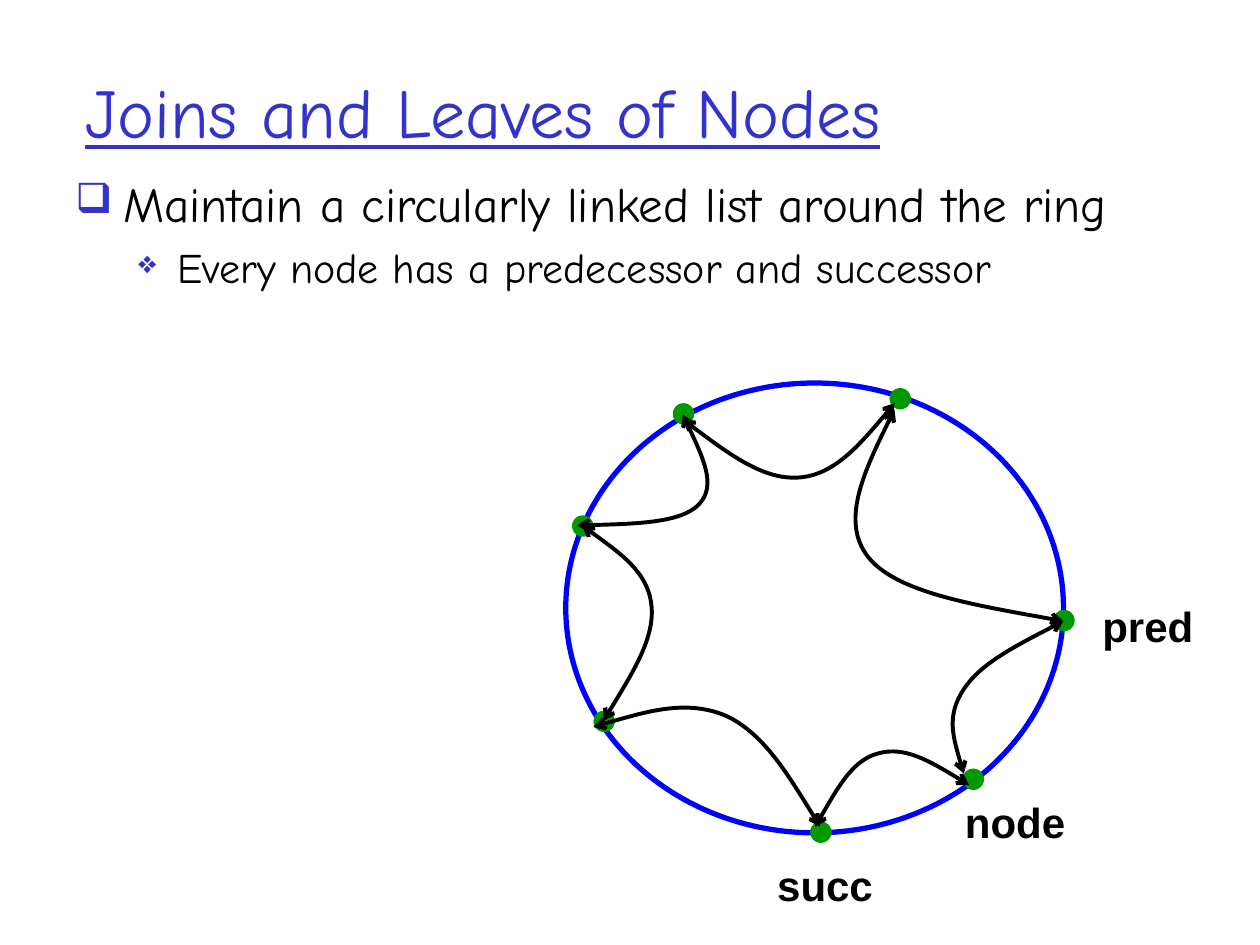
"""Build the slide on joins and leaves of nodes in a ring."""
from lxml.etree import SubElement
from pptx import Presentation
from pptx.dml.color import RGBColor
from pptx.enum.shapes import MSO_SHAPE
from pptx.enum.text import MSO_ANCHOR, MSO_AUTO_SIZE
from pptx.oxml.ns import qn
from pptx.util import Inches, Pt

BLUE, BLACK, RING, GREEN = "3333CC", "000000", "0000FF", "009900"
HAND = "Comic Neue"
TITLE = "Joins and Leaves of Nodes"
POINTS = [
    ("Maintain a circularly linked list around the ring", 28, 0, 0.38, 0.38, "❑", 85),
    ("Every node has a predecessor and successor", 24, 1, 0.81, 0.31, "❖", 75),
]
DOT = 0.17
DOTS = [(8.36, 4.84), (4.54, 4.09), (7.64, 6.1), (5.34, 3.2),
        (4.71, 5.64), (6.43, 6.52), (7.06, 3.08)]
CURVES = [
    [(7.65, 6.14), (7.58, 5.91), (7.51, 5.68), (7.65, 5.47), (7.78, 5.27), (8.11, 5.1), (8.44, 4.93)],
    [(8.44, 4.93), (7.78, 4.81), (7.11, 4.7), (6.89, 4.42), (6.67, 4.14), (6.88, 3.69), (7.1, 3.25)],
    [(7.1, 3.2), (6.86, 3.49), (6.62, 3.77), (6.34, 3.79), (6.06, 3.81), (5.74, 3.57), (5.42, 3.33)],
    [(5.42, 3.29), (5.55, 3.57), (5.69, 3.85), (5.55, 4), (5.41, 4.15), (4.99, 4.16), (4.58, 4.17)],
    [(4.62, 4.17), (4.88, 4.36), (5.14, 4.54), (5.17, 4.8), (5.2, 5.06), (4.99, 5.39), (4.79, 5.72)],
    [(4.71, 5.77), (5.08, 5.66), (5.45, 5.55), (5.76, 5.68), (6.06, 5.82), (6.28, 6.19), (6.51, 6.56)],
    [(6.47, 6.56), (6.62, 6.3), (6.77, 6.03), (6.97, 5.98), (7.18, 5.92), (7.43, 6.07), (7.69, 6.23)],
]
LABELS = [("node", 7.56, 6.27, 1), ("pred", 8.65, 4.72, 0.92), ("succ", 6.07, 6.77, 0.96)]


def color(code):
    return RGBColor.from_string(code)


def add_box(slide, left, top, width, height, wrap=True):
    box = slide.shapes.add_textbox(Inches(left), Inches(top), Inches(width), Inches(height))
    box.text_frame.word_wrap = wrap
    return box.text_frame


def add_run(para, text, size, code, face=HAND):
    run = para.add_run()
    run.text = text
    run.font.size = Pt(size)
    run.font.name = face
    run.font.color.rgb = color(code)
    return run


def add_point(para, text, size, level, left, hang, mark, scale):
    para.level = level
    para.space_before = Pt(size * 0.2)
    props = para._p.get_or_add_pPr()
    props.set("marL", str(Inches(left)))
    props.set("indent", str(-Inches(hang)))
    SubElement(SubElement(props, qn("a:buClr")), qn("a:srgbClr"), val=BLUE)
    SubElement(props, qn("a:buSzPct"), val=str(scale * 1000))
    SubElement(props, qn("a:buChar"), char=mark)
    add_run(para, text, size, BLACK)


def add_oval(slide, left, top, width, height):
    oval = slide.shapes.add_shape(
        MSO_SHAPE.OVAL, Inches(left), Inches(top), Inches(width), Inches(height))
    oval.shadow.inherit = False
    return oval


def set_line(shape, code, width):
    shape.fill.background()
    shape.line.color.rgb = color(code)
    shape.line.width = Pt(width)


def add_curve(slide, knots):
    spots = [(Inches(x), Inches(y)) for x, y in knots]
    pen = slide.shapes.build_freeform(*spots[0])
    pen.add_line_segments(spots[1:], close=False)
    shape = pen.convert_to_shape()
    shape.shadow.inherit = False
    set_line(shape, BLACK, 2.25)
    track = shape._element.find(".//" + qn("a:path"))
    steps = track.findall(qn("a:lnTo"))
    for start in range(0, len(steps), 3):
        bend = SubElement(track, qn("a:cubicBezTo"))
        for step in steps[start:start + 3]:
            bend.append(step[0])
            track.remove(step)
    line = shape.line._get_or_add_ln()
    for end in ("a:headEnd", "a:tailEnd"):
        SubElement(line, qn(end), type="arrow")


def main():
    deck = Presentation()
    deck.slide_width, deck.slide_height = Inches(10), Inches(7.5)
    slide = deck.slides.add_slide(deck.slide_layouts[6])

    frame = add_box(slide, 0.58, 0.25, 8.5, 1.25)
    frame.vertical_anchor = MSO_ANCHOR.MIDDLE
    add_run(frame.paragraphs[0], TITLE, 40, BLUE).font.underline = True

    frame = add_box(slide, 0.5, 1.33, 9.25, 1.45)
    for num, point in enumerate(POINTS):
        add_point(frame.add_paragraph() if num else frame.paragraphs[0], *point)

    set_line(add_oval(slide, 4.49, 3.04, 3.95, 3.57), RING, 3)
    for left, top in DOTS:
        dot = add_oval(slide, left, top, DOT, DOT)
        dot.fill.solid()
        dot.fill.fore_color.rgb = color(GREEN)
        dot.line.fill.background()
    for knots in CURVES:
        add_curve(slide, knots)

    for text, left, top, width in LABELS:
        frame = add_box(slide, left, top, width, 0.5, wrap=False)
        frame.auto_size = MSO_AUTO_SIZE.SHAPE_TO_FIT_TEXT
        add_run(frame.paragraphs[0], text, 24, BLACK, "Arial").font.bold = True

    deck.save("out.pptx")


if __name__ == "__main__":
    main()
